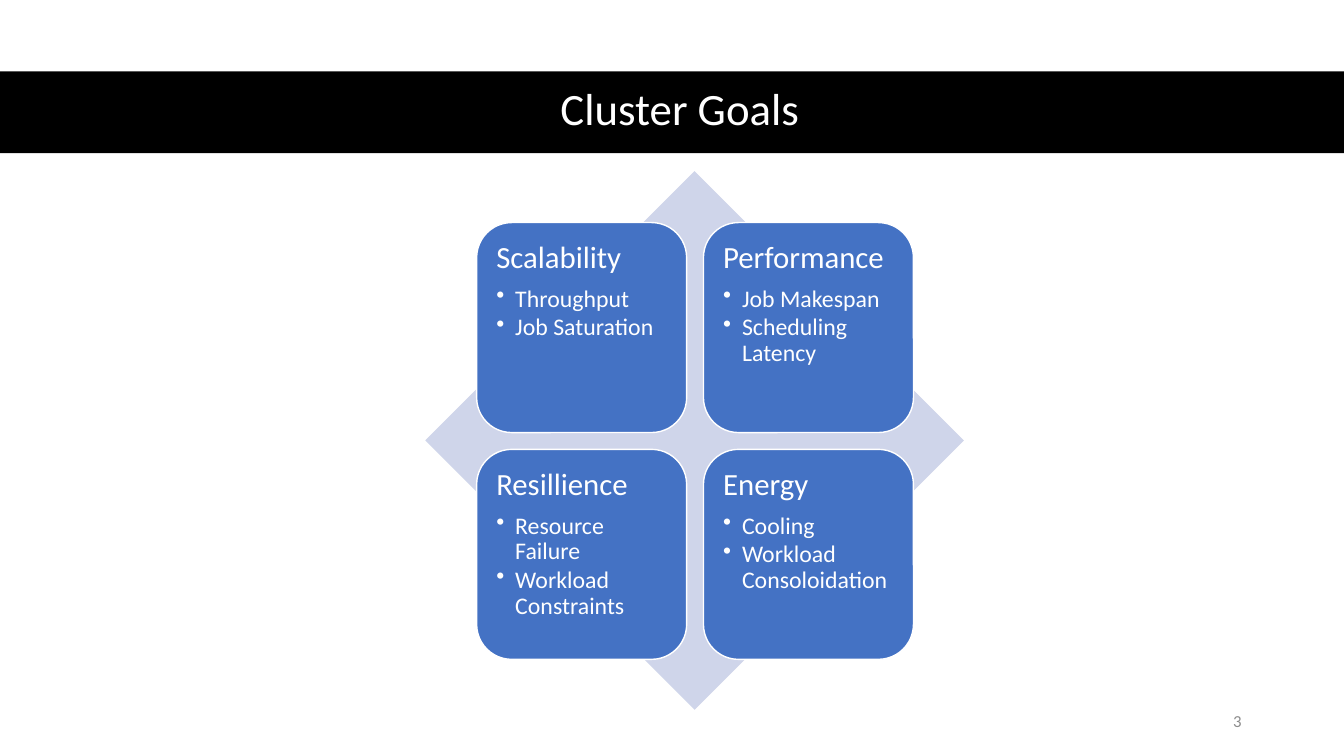
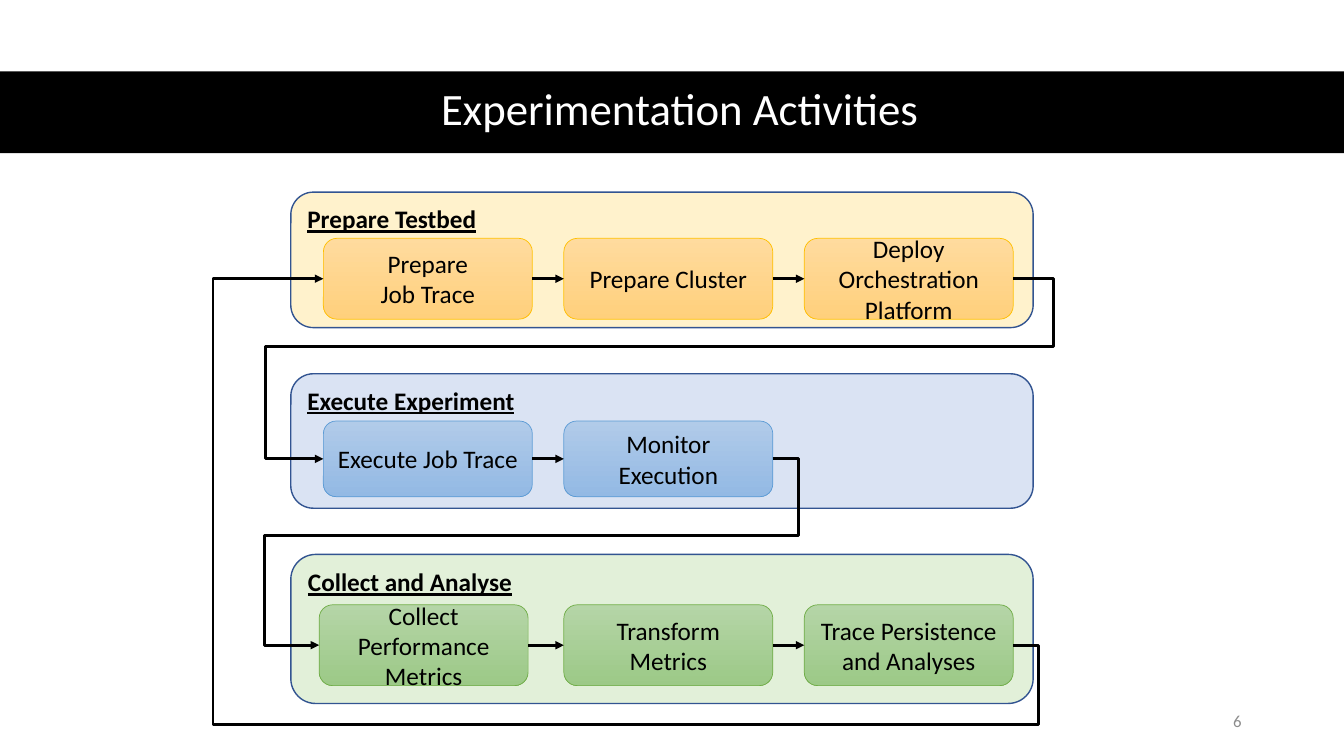
import dataclasses
import itertools
import typing

import lxml.etree
import pptx
import pptx.dml.color
import pptx.enum.shapes
import pptx.enum.text
import pptx.oxml.ns
import pptx.util

SHAPE = pptx.enum.shapes.MSO_SHAPE
LINK = pptx.enum.shapes.MSO_CONNECTOR
ALIGN = pptx.enum.text.PP_ALIGN
ANCHOR = pptx.enum.text.MSO_ANCHOR
LEFT_SIDE, RIGHT_SIDE = 1, 3


@dataclasses.dataclass(frozen=True)
class Theme:
    font: str = "Calibri"
    black: str = "000000"
    white: str = "FFFFFF"
    grey: str = "8C8C8C"
    diamond: str = "CFD5EA"
    card: str = "4472C4"
    panel_line: str = "325491"
    title_size: int = 32
    heading_size: int = 22
    bullet_size: int = 17
    flow_size: int = 18
    number_size: int = 12


THEME = Theme()


class Box(typing.NamedTuple):
    left: int
    top: int
    width: int
    height: int


class Card(typing.NamedTuple):
    heading: str
    bullets: tuple[str, ...]


class Route(typing.NamedTuple):
    """Right-hand turn, crossing height and left-hand turn of a bent arrow."""
    right: int
    y: int
    left: int


@dataclasses.dataclass(frozen=True)
class Stage:
    title: str
    steps: tuple[str, ...]
    top: int
    height: int
    step_top: int
    step_height: int
    fill: str
    gradient: tuple[str, str]
    line: str
    route: Route
    first_shift: int = 0


# Goals, read row by row
CARDS = (
    Card("Scalability", ("Throughput", "Job Saturation")),
    Card("Performance", ("Job Makespan", "Scheduling Latency")),
    Card("Resillience", ("Resource Failure", "Workload Constraints")),
    Card("Energy", ("Cooling", "Workload Consoloidation")),
)

# Stages, each with the route to the next one
STAGES = (
    Stage("Prepare Testbed",
          ("Prepare\nJob Trace", "Prepare Cluster", "Deploy Orchestration Platform"),
          183, 129, 227, 77, "FFF2CC", ("FFDB9E", "FFD07C"), "FFC000",
          Route(1004, 330, 253)),
    Stage("Execute Experiment", ("Execute Job Trace", "Monitor Execution"),
          356, 128, 401, 72, "DAE3F3", ("B1CBE9", "93B9E4"), "5B9BD5",
          Route(760, 510, 252)),
    Stage("Collect and Analyse",
          ("Collect Performance Metrics", "Transform Metrics",
           "Trace Persistence and Analyses"),
          528, 142, 576, 77, "E2F0D9", ("B5D5A7", "9CC987"), "70AD47",
          Route(989, 690, 203), first_shift=-4),
)


def px(n: int) -> pptx.util.Emu:
    return pptx.util.Emu(n * 9525)


def rgb(color: str) -> pptx.dml.color.RGBColor:
    return pptx.dml.color.RGBColor.from_string(color)


def add_xml(parent: typing.Any, tag: str, **attrs: str) -> typing.Any:
    return lxml.etree.SubElement(parent, pptx.oxml.ns.qn(tag), attrs)


def format_text(p: typing.Any, size: int, color: str, align: typing.Any = ALIGN.LEFT,
                strong: bool = False) -> None:
    p.alignment = align
    for r in p.runs:
        r.font.name = THEME.font
        r.font.size = pptx.util.Pt(size)
        r.font.color.rgb = rgb(color)
        if strong:
            r.font.bold = r.font.underline = True


def add_box(s: typing.Any, kind: typing.Any, box: Box, fill: str | tuple[str, str],
            line: str | None = None, width: float = 1) -> typing.Any:
    sp = s.shapes.add_shape(kind, *map(px, box))
    sp.shadow.inherit = False
    if isinstance(fill, str):
        sp.fill.solid()
        sp.fill.fore_color.rgb = rgb(fill)
    else:
        sp.fill.gradient()
        sp.fill.gradient_angle = 270
        for stop, color in zip(sp.fill.gradient_stops, fill):
            stop.color.rgb = rgb(color)
    if line:
        sp.line.color.rgb = rgb(line)
        sp.line.width = pptx.util.Pt(width)
    else:
        sp.line.fill.background()
    return sp


def add_arrow(s: typing.Any, start: typing.Any, end: typing.Any,
              route: Route | None = None) -> None:
    """Join the right side of start to the left side of end."""
    kind = LINK.ELBOW if route else LINK.STRAIGHT
    c = s.shapes.add_connector(kind, 0, 0, 0, 0)
    c.begin_connect(start, RIGHT_SIDE)
    c.end_connect(end, LEFT_SIDE)
    c.line.color.rgb = rgb(THEME.black)
    c.line.width = pptx.util.Pt(2)
    props = c._element.spPr
    add_xml(props.find(pptx.oxml.ns.qn("a:ln")), "a:tailEnd", type="triangle")
    add_xml(props, "a:effectLst")
    if route:
        dx, dy = c.end_x - c.begin_x, c.end_y - c.begin_y
        turns = ((px(route.right) - c.begin_x) / dx,
                 (px(route.y) - c.begin_y) / dy,
                 (px(route.left) - c.begin_x) / dx)
        geometry = props.find(pptx.oxml.ns.qn("a:prstGeom"))
        geometry.set("prst", "bentConnector5")
        guides = geometry.find(pptx.oxml.ns.qn("a:avLst"))
        for i, turn in enumerate(turns, 1):
            add_xml(guides, "a:gd", name=f"adj{i}", fmla=f"val {round(turn * 100000)}")


def add_slide(prs: typing.Any, title: str, number: int) -> typing.Any:
    s = prs.slides.add_slide(prs.slide_layouts[5])

    # Band, placed behind the title
    band = add_box(s, SHAPE.RECTANGLE, Box(0, 68, 1280, 78), THEME.black)
    s.shapes.title._element.addprevious(band._element)

    # Title
    sp = s.shapes.title
    sp.left, sp.top, sp.width, sp.height = map(px, Box(59, 67, 1177, 78))
    tf = sp.text_frame
    tf.text = title
    tf.auto_size = pptx.enum.text.MSO_AUTO_SIZE.NONE
    tf.vertical_anchor = ANCHOR.MIDDLE
    tf.paragraphs[0].line_spacing = 0.9
    format_text(tf.paragraphs[0], THEME.title_size, THEME.white, ALIGN.CENTER)

    # Slide number
    tf = s.shapes.add_textbox(*map(px, Box(904, 667, 288, 38))).text_frame
    tf.word_wrap = True
    tf.vertical_anchor = ANCHOR.MIDDLE
    tf.text = str(number)
    format_text(tf.paragraphs[0], THEME.number_size, THEME.grey, ALIGN.RIGHT)
    return s


def add_card(s: typing.Any, card: Card, box: Box) -> None:
    sp = add_box(s, SHAPE.ROUNDED_RECTANGLE, box, THEME.card, THEME.white)
    tf = sp.text_frame
    tf.vertical_anchor = ANCHOR.TOP
    tf.margin_left = tf.margin_top = tf.margin_right = tf.margin_bottom = px(9)
    tf.text = "\n".join((card.heading, *card.bullets))
    heading, *bullets = tf.paragraphs
    for p in tf.paragraphs:
        p.line_spacing = 0.9
        p.space_after = pptx.util.Pt(2)
        format_text(p, THEME.bullet_size, THEME.white)
    heading.space_after = pptx.util.Pt(8)
    format_text(heading, THEME.heading_size, THEME.white)
    for p in bullets:
        p.level = 1
        props = p._p.get_or_add_pPr()
        props.set("marL", str(px(18)))
        props.set("indent", str(px(-18)))
        add_xml(props, "a:buChar", char="•")


def add_stage(s: typing.Any, stage: Stage) -> list[typing.Any]:
    """Draw a panel with its steps and return the steps."""
    panel = add_box(s, SHAPE.ROUNDED_RECTANGLE, Box(277, stage.top, 707, stage.height),
                    stage.fill, THEME.panel_line)
    panel.text_frame.text = stage.title
    panel.text_frame.vertical_anchor = ANCHOR.TOP
    format_text(panel.text_frame.paragraphs[0], THEME.flow_size, THEME.black, strong=True)

    steps = []
    for i, label in enumerate(stage.steps):
        left = 308 + 229 * i + (0 if i else stage.first_shift)
        sp = add_box(s, SHAPE.ROUNDED_RECTANGLE,
                     Box(left, stage.step_top, 199, stage.step_height),
                     stage.gradient, stage.line, 0.5)
        p = sp.text_frame.paragraphs[0]
        p.text = label
        sp.text_frame.vertical_anchor = ANCHOR.MIDDLE
        format_text(p, THEME.flow_size, THEME.black, ALIGN.CENTER)
        steps.append(sp)
    return steps


def build_goals(prs: typing.Any) -> None:
    s = add_slide(prs, "Cluster Goals", 3)
    add_box(s, SHAPE.DIAMOND, Box(405, 163, 513, 513), THEME.diamond)
    size, gap = 200, 16
    for i, card in enumerate(CARDS):
        row, col = divmod(i, 2)
        add_card(s, card, Box(454 + col * (size + gap), 212 + row * (size + gap), size, size))


def build_activities(prs: typing.Any) -> None:
    s = add_slide(prs, "Experimentation Activities", 6)
    rows = [add_stage(s, stage) for stage in STAGES]

    # Arrows inside each stage, then on to the next stage and back to the first
    for i, (stage, steps) in enumerate(zip(STAGES, rows)):
        for start, end in itertools.pairwise(steps):
            add_arrow(s, start, end)
        add_arrow(s, steps[-1], rows[(i + 1) % len(rows)][0], stage.route)


def main() -> None:
    prs = pptx.Presentation()
    prs.slide_width, prs.slide_height = px(1280), px(720)
    build_goals(prs)
    build_activities(prs)
    prs.save("out.pptx")


if __name__ == "__main__":
    main()
